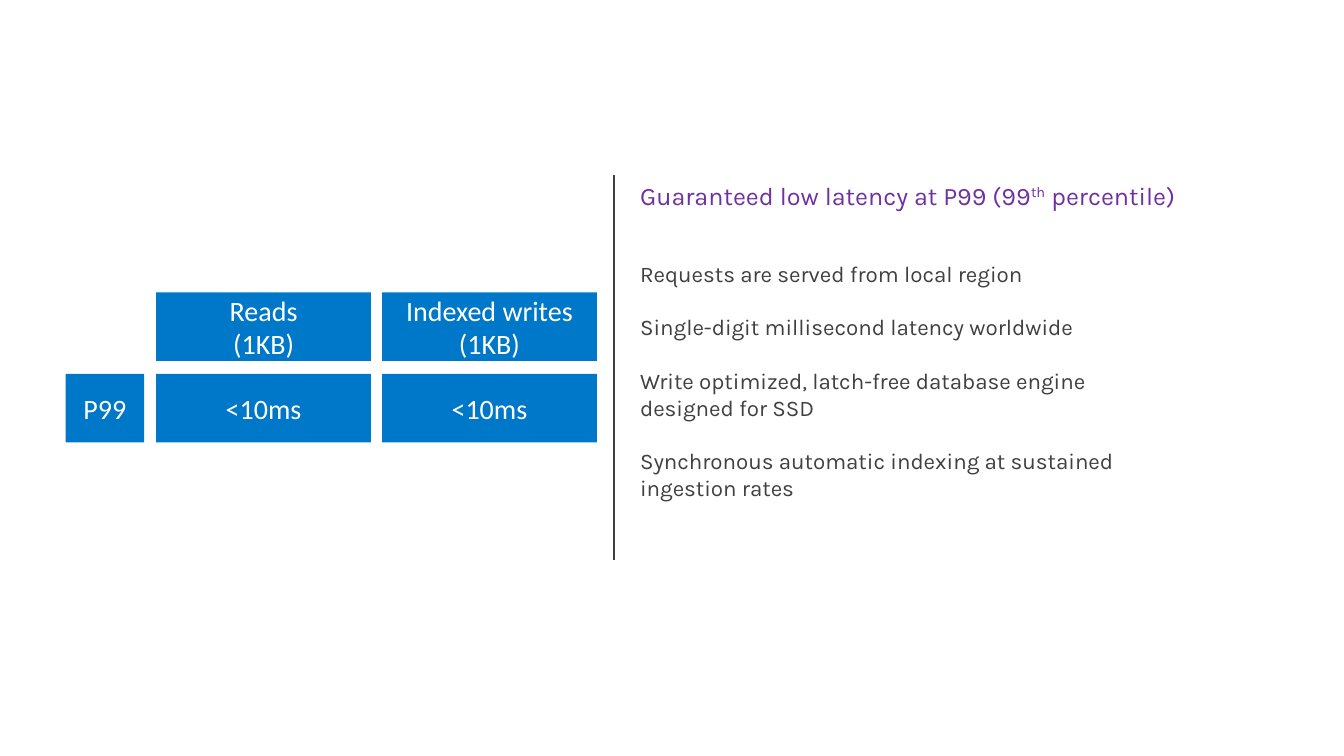
from pptx import Presentation
from pptx.dml.color import RGBColor
from pptx.enum.shapes import MSO_CONNECTOR, MSO_SHAPE
from pptx.enum.text import MSO_ANCHOR, PP_ALIGN
from pptx.oxml.ns import qn
from pptx.util import Inches, Pt
from lxml import etree

# Content
HEADING = [("Guaranteed low latency at P99 (99", False), ("th", True), (" percentile)", False)]
POINTS = [
    "Requests are served from local region",
    "Single-digit millisecond latency worldwide",
    "Write optimized, latch-free database engine designed for SSD",
    "Synchronous automatic indexing at sustained ingestion rates",
]
LATENCY = [
    [None, ["Reads", "(1KB)"], ["Indexed writes", "(1KB)"]],
    [["P99"], ["<10ms"], ["<10ms"]],
]

# Layout and colours
COLUMNS = [(0.65, 0.78), (1.55, 2.13), (3.79, 2.13)]  # left, width
GRID_TOP, ROW_STEP, ROW_HEIGHT = 2.9, 0.81, 0.68
PURPLE, GREY, BLUE, WHITE = "7030A0", "404040", "0078C9", "FFFFFF"


def color(hex_value):
    return RGBColor.from_string(hex_value)


def add_run(p, text, font, size, hex_value):
    r = p.add_run()
    r.text = text
    r.font.name, r.font.size = font, Pt(size)
    r.font.color.rgb = color(hex_value)
    return r


def add_text_frame(s, *box):
    tf = s.shapes.add_textbox(*map(Inches, box)).text_frame
    tf.word_wrap = True
    return tf


def next_paragraph(tf, i):
    return tf.add_paragraph() if i else tf.paragraphs[0]


def add_tile(s, lines, left, top, width):
    sp = s.shapes.add_shape(MSO_SHAPE.RECTANGLE, Inches(left), Inches(top),
                            Inches(width), Inches(ROW_HEIGHT))
    sp.shadow.inherit = False
    sp.fill.solid()
    sp.fill.fore_color.rgb = color(BLUE)
    sp.line.fill.background()
    tf = sp.text_frame
    tf.word_wrap = True
    tf.vertical_anchor = MSO_ANCHOR.MIDDLE
    tf.margin_left = tf.margin_right = 0
    for i, line in enumerate(lines):
        p = next_paragraph(tf, i)
        p.alignment = PP_ALIGN.CENTER
        add_run(p, line, "Calibri", 20, WHITE)


prs = Presentation()
prs.slide_width, prs.slide_height = Inches(13.33), Inches(7.5)
s = prs.slides.add_slide(prs.slide_layouts[6])

# Divider
divider = s.shapes.add_connector(MSO_CONNECTOR.STRAIGHT, Inches(6.09), Inches(1.74),
                                 Inches(6.09), Inches(5.56))
divider.line.color.rgb = color(GREY)
divider.line.width = Pt(1)
etree.SubElement(divider._element.spPr, qn("a:effectLst"))

# Heading
tf = add_text_frame(s, 6.25, 1.74, 5.53, 0.4)
for text, raised in HEADING:
    r = add_run(tf.paragraphs[0], text, "Karla", 18, PURPLE)
    if raised:
        r.font._element.set("baseline", "30000")

# Points
tf = add_text_frame(s, 6.25, 2.53, 5.1, 2.79)
for i, point in enumerate(POINTS):
    p = next_paragraph(tf, i)
    if i:
        p.space_before = Pt(19)
    add_run(p, point, "Karla", 16, GREY)

# Latency grid
for row, cells in enumerate(LATENCY):
    for (left, width), lines in zip(COLUMNS, cells):
        if lines:
            add_tile(s, lines, left, GRID_TOP + row * ROW_STEP, width)

prs.save("out.pptx")
